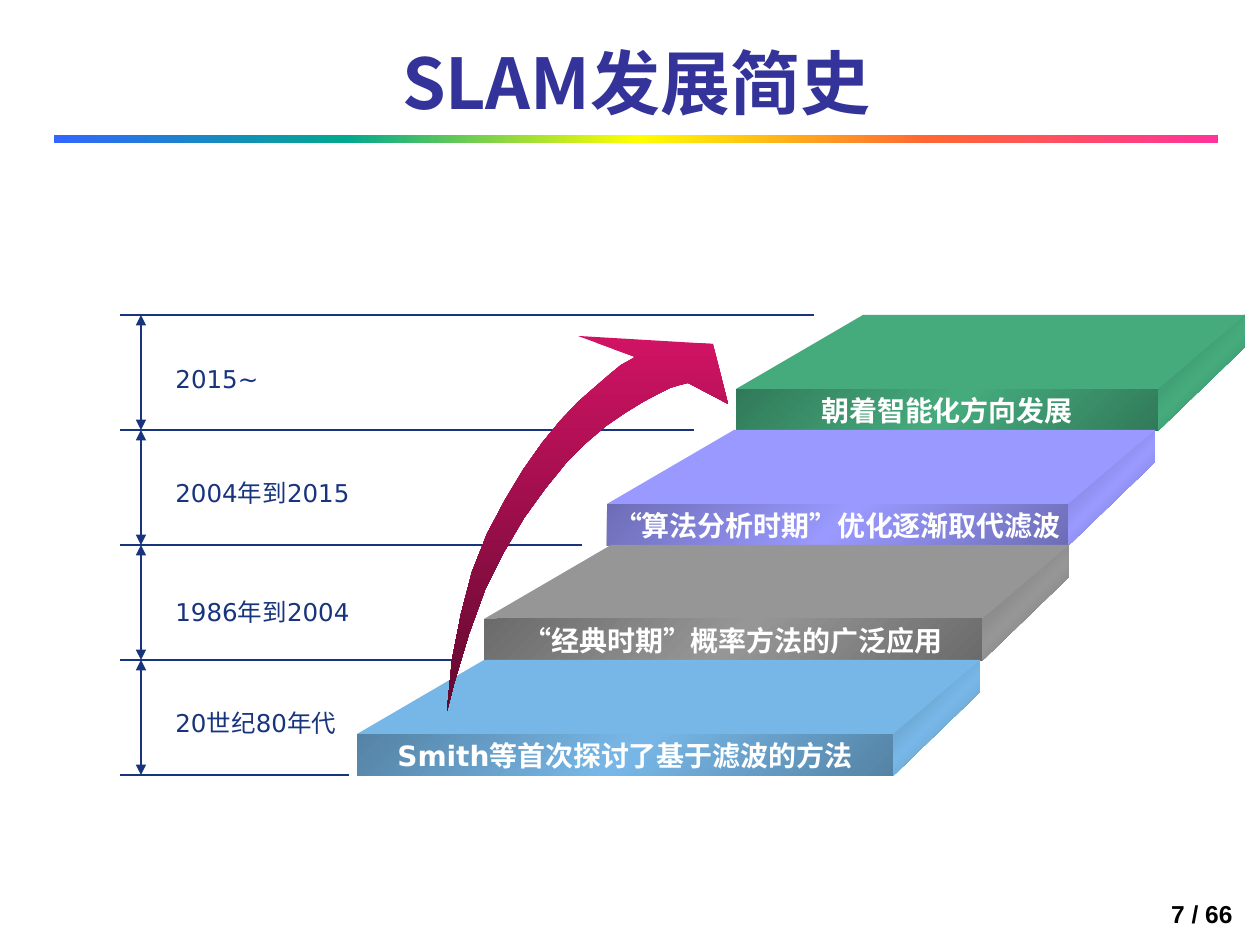
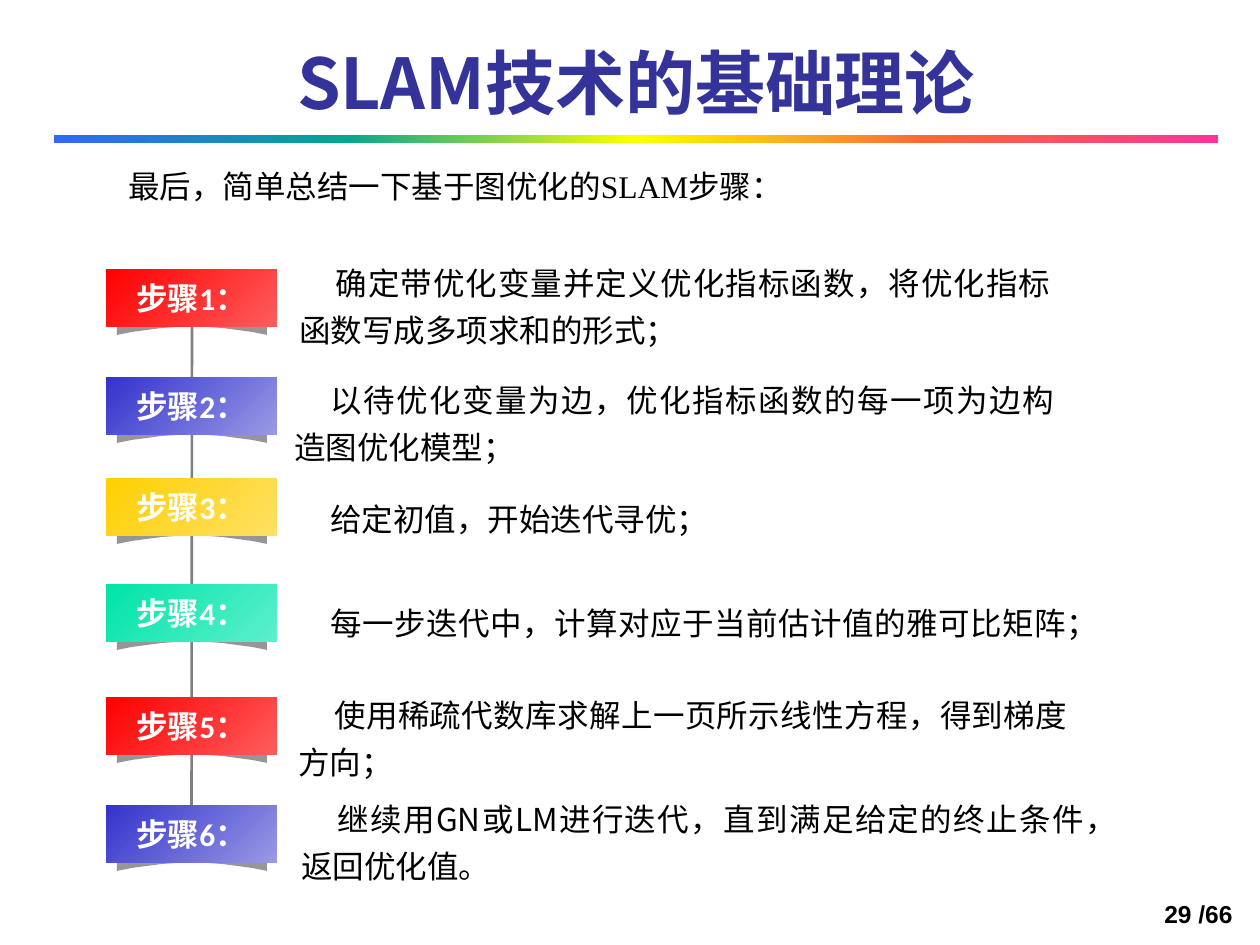
from lxml import etree
from pptx import Presentation
from pptx.dml.color import RGBColor
from pptx.enum.shapes import MSO_CONNECTOR, MSO_SHAPE
from pptx.enum.text import MSO_ANCHOR, MSO_AUTO_SIZE, PP_ALIGN
from pptx.oxml.ns import qn
from pptx.util import Pt

LEFT, CENTER, RIGHT = PP_ALIGN.LEFT, PP_ALIGN.CENTER, PP_ALIGN.RIGHT
JUSTIFY = PP_ALIGN.JUSTIFY
TOP, MIDDLE, BOTTOM = MSO_ANCHOR.TOP, MSO_ANCHOR.MIDDLE, MSO_ANCHOR.BOTTOM
RECTANGLE, STRAIGHT = MSO_SHAPE.RECTANGLE, MSO_CONNECTOR.STRAIGHT
NO_AUTOFIT = MSO_AUTO_SIZE.NONE

PX = 914400 / 126
TITLE_ONLY = 5
CJK_FONT = "Noto Sans CJK SC"

COLORS = {
    "title": "333399", "black": "000000", "white": "FFFFFF",
    "navy": "17347D", "rail": "808080", "shadow": "969696",
    "green": "45AB7D", "green_dark": "317A59",
    "violet": "9999FF", "violet_dark": "6D6DB6",
    "gray": "969696", "gray_dark": "6B6B6B",
    "sky": "77B7E7", "sky_dark": "5583A5",
    "arrow": "D11364", "arrow_dark": "60092E",
    "red": "FF0000", "red_light": "FF5C5C",
    "blue": "3333CC", "blue_light": "9999E5",
    "yellow": "FFCF01", "yellow_light": "FFE066",
    "mint": "00E4A8", "mint_light": "5CF0CB",
    "band1": "3366FF", "band2": "01A78F", "band3": "FFFF00",
    "band4": "FF6633", "band5": "FF3399",
}
BAND = ["band1", "band2", "band3", "band4", "band5"]

# Timeline: period, caption, colour, front left and width, end of the upper rule
STAGES = [
    ("2015~", "朝着智能化方向发展", "green", 736, 422, 814),
    ("2004年到2015", "“算法分析时期”优化逐渐取代滤波", "violet", 607, 461, 694),
    ("1986年到2004", "“经典时期”概率方法的广泛应用", "gray", 484, 498, 582),
    ("20世纪80年代", "Smith等首次探讨了基于滤波的方法", "sky", 357, 536, 456),
]
# Top and width of each period label
PERIOD_BOXES = [(358, 108), (472, 200), (591, 200), (702, 188)]
STAGE_TOP, STAGE_STEP = 315, 115
STAGE_DEPTH, FRONT_HEIGHT = 74, 42

ARROW = [
    (447, 711), (452, 660), (461, 614), (472, 572), (487, 534), (505, 500),
    (523, 470), (542, 443), (560, 421), (578, 402), (595, 387), (610, 374),
    (621, 365), (630, 360), (635, 357), (578, 336), (713, 344), (728, 404),
    (688, 383), (680, 385), (670, 388), (658, 394), (643, 402), (625, 413),
    (606, 426), (586, 443), (566, 463), (545, 489), (524, 518), (504, 552),
    (485, 590), (469, 634), (454, 684),
]

# Steps: colour, banner top, then left, top, width and wording of the text
STEPS = [
    ("red", 269, 287, 248, 776, "确定带优化变量并定义优化指标函数，将优化指标函数写成多项求和的形式；"),
    ("blue", 377, 282, 365, 785, "以待优化变量为边，优化指标函数的每一项为边构造图优化模型；"),
    ("yellow", 478, 282, 484, 445, "给定初值，开始迭代寻优；"),
    ("mint", 584, 282, 588, 798, "每一步迭代中，计算对应于当前估计值的雅可比矩阵；"),
    ("red", 697, 286, 680, 794, "使用稀疏代数库求解上一页所示线性方程，得到梯度方向；"),
    ("blue", 805, 289, 784, 809, "继续用GN或LM进行迭代，直到满足给定的终止条件，返回优化值。"),
]
BANNER_LEFT, BANNER_WIDTH, BANNER_HEIGHT = 106, 171, 58


def px(*lengths):
    return [round(length * PX) for length in lengths]


def rgb(name):
    return RGBColor.from_string(COLORS[name])


# Text
def write_text(shape, text, size=14, font=CJK_FONT, color="black", bold=False,
               align=LEFT, anchor=TOP, wrap=True, spacing=None, indent=0):
    frame = shape.text_frame
    frame.auto_size = NO_AUTOFIT
    frame.word_wrap = wrap
    frame.vertical_anchor = anchor
    paragraph = frame.paragraphs[0]
    paragraph.alignment = align
    if spacing:
        paragraph.line_spacing = spacing
    if indent:
        paragraph._p.get_or_add_pPr().set("indent", str(px(indent)[0]))
    run = paragraph.add_run()
    run.text = text
    run.font.size = Pt(size)
    run.font.name = font
    run.font.bold = bold
    run.font.color.rgb = rgb(color)
    latin = run.font._element.find(qn("a:latin"))
    east_asian = etree.Element(qn("a:ea"), typeface=CJK_FONT)
    latin.addnext(east_asian)


def add_text(slide, left, top, width, height, text, **text_format):
    box = slide.shapes.add_textbox(*px(left, top, width, height))
    write_text(box, text, **text_format)


# Shapes
def paint(shape, colors, angle=0):
    """Fill with one colour, or with evenly spaced gradient stops."""
    shape.shadow.inherit = False
    shape.line.fill.background()
    if len(colors) == 1:
        shape.fill.solid()
        shape.fill.fore_color.rgb = rgb(colors[0])
        return
    shape.fill.gradient()
    gradient = shape._element.spPr.find(qn("a:gradFill"))
    stops = gradient.find(qn("a:gsLst"))
    for stop in list(stops):
        stops.remove(stop)
    for index, color in enumerate(colors):
        position = 100000 * index // (len(colors) - 1)
        stop = etree.SubElement(stops, qn("a:gs"), pos=str(position))
        etree.SubElement(stop, qn("a:srgbClr"), val=COLORS[color])
    direction = gradient.find(qn("a:lin"))
    direction.set("ang", str(angle * 60000))
    direction.set("scaled", "0")


def add_rectangle(slide, left, top, width, height, colors, angle=0):
    shape = slide.shapes.add_shape(RECTANGLE, *px(left, top, width, height))
    paint(shape, colors, angle)
    return shape


def add_polygon(slide, points, colors, angle=0):
    builder = slide.shapes.build_freeform(*points[0], scale=PX)
    builder.add_line_segments(points[1:], close=True)
    paint(builder.convert_to_shape(), colors, angle)


def add_line(slide, start, end, color, width, arrows=False):
    line = slide.shapes.add_connector(STRAIGHT, *px(*start, *end))
    line.line.color.rgb = rgb(color)
    line.line.width = Pt(width)
    etree.SubElement(line._element.spPr, qn("a:effectLst"))
    if arrows:
        for end_name in ("a:headEnd", "a:tailEnd"):
            etree.SubElement(line.line._get_or_add_ln(), qn(end_name), type="triangle")
    return line


# Title, rainbow band and page number of every slide
def add_slide(presentation, title, page):
    slide = presentation.slides.add_slide(presentation.slide_layouts[TITLE_ONLY])
    add_rectangle(slide, 54, 135, 1164, 8, BAND)
    add_text(slide, 983, 872, 262, 63, page, font="Arial", bold=True,
             align=RIGHT, anchor=BOTTOM)
    heading = slide.shapes.title
    heading.left, heading.top, heading.width, heading.height = px(54, 10, 1164, 120)
    write_text(heading, title, size=40, color="title", bold=True,
               align=CENTER, anchor=BOTTOM)
    return slide


def add_block(slide, caption, color, left, width, back):
    front, right = back + STAGE_DEPTH, left + width
    back_right = right + 87
    shades = [color + "_dark", color, color + "_dark"]
    add_polygon(slide, [(back_right, back), (back_right, back + 32),
                        (right, front + FRONT_HEIGHT), (right, front)], shades, 45)
    add_polygon(slide, [(right, front), (left, front), (left + 127, back),
                        (back_right, back)], [color])
    face = add_rectangle(slide, left, front, width, FRONT_HEIGHT, shades, 45)
    write_text(face, caption, size=16, font="DejaVu Sans", color="white", bold=True,
               align=CENTER, anchor=MIDDLE, wrap=False)


def add_banner(slide, label, color, top):
    middle, half = 192, 75
    curve = [(middle + x, top + BANNER_HEIGHT + round(8 * (x / half) ** 2))
             for x in range(half, -half - 1, -15)]
    peak = [(middle - half, top + 45), (middle, top + 38), (middle + half, top + 45)]
    add_polygon(slide, curve + peak, ["shadow"])
    banner = add_rectangle(slide, BANNER_LEFT, top, BANNER_WIDTH, BANNER_HEIGHT,
                           [color, color + "_light"], 45)
    write_text(banner, label, size=18, font="Calibri", color="white", bold=True,
               align=CENTER, anchor=MIDDLE, wrap=False)
    return banner


def build_history(presentation):
    slide = add_slide(presentation, "SLAM发展简史", "7 / 66")
    bottom = STAGE_TOP + STAGE_STEP * len(STAGES)
    add_line(slide, (349, bottom), (120, bottom), "navy", 0.75)
    for index, (stage, period_box) in enumerate(zip(STAGES, PERIOD_BOXES)):
        period, caption, color, left, width, rule_end = stage
        label_top, label_width = period_box
        back = STAGE_TOP + STAGE_STEP * index
        add_line(slide, (rule_end, back), (120, back), "navy", 0.75)
        add_line(slide, (141, back), (141, back + STAGE_STEP), "navy", 0.75, arrows=True)
        add_text(slide, 163, label_top, label_width, 43, period,
                 font="DejaVu Sans", color="navy")
        add_block(slide, caption, color, left, width, back)
    add_polygon(slide, ARROW, ["arrow", "arrow_dark"], 90)


def build_steps(presentation):
    slide = add_slide(presentation, "SLAM技术的基础理论", "29 /66")
    add_text(slide, 116, 161, 755, 50, "最后，简单总结一下基于图优化的SLAM步骤：",
             size=18, font="Times New Roman")
    rail = add_line(slide, (192, 321), (192, 863), "rail", 1.5)
    for number, (color, banner_top, left, top, width, text) in enumerate(STEPS, 1):
        banner = add_banner(slide, f"步骤{number}：", color, banner_top)
        add_text(slide, left, top, width, 103, text, size=18, align=JUSTIFY,
                 spacing=1.25, indent=36)
    rail.end_connect(banner, 2)


def main():
    presentation = Presentation()
    presentation.slide_width, presentation.slide_height = px(1260, 945)
    build_history(presentation)
    build_steps(presentation)
    presentation.save("out.pptx")


if __name__ == "__main__":
    main()
